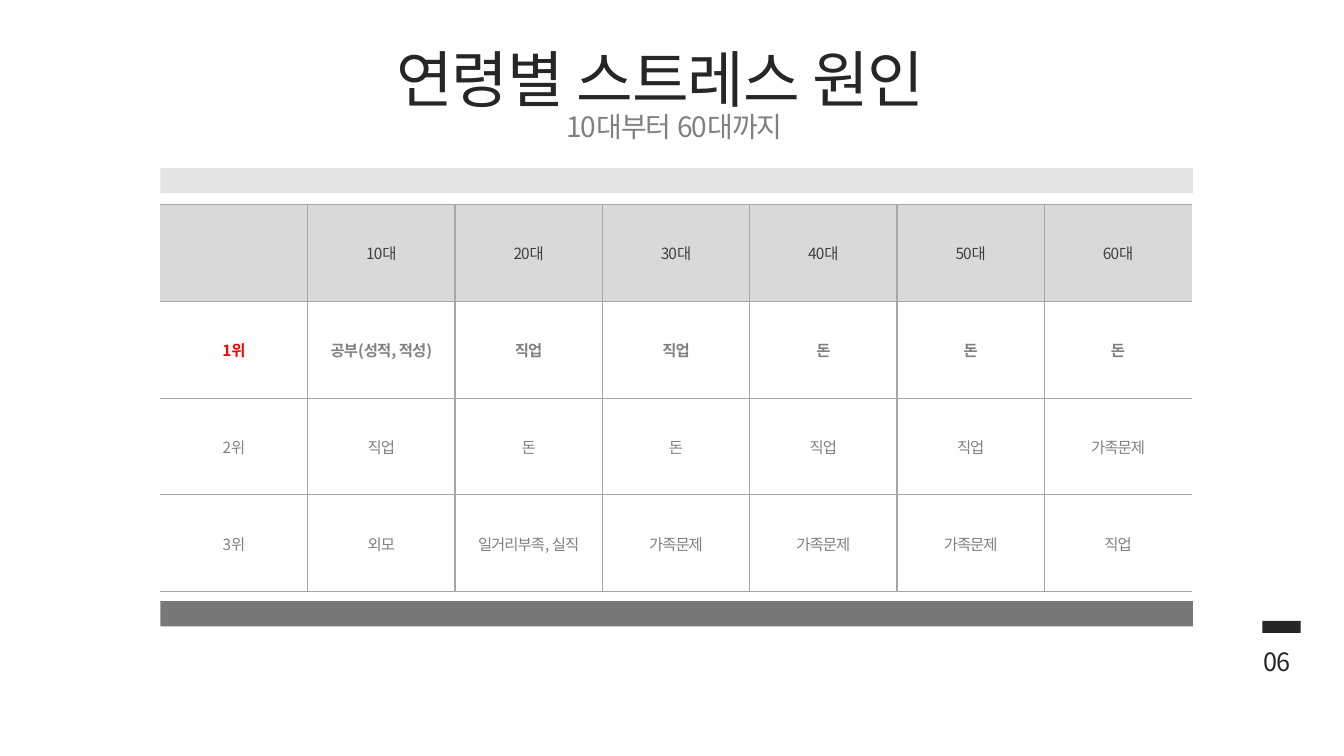
from lxml import etree
from pptx import Presentation
from pptx.dml.color import RGBColor
from pptx.enum import shapes, text
from pptx.oxml.ns import qn
from pptx.util import Inches, Pt

FONT = "Noto Sans CJK KR"
INK = {"dark": "262626", "head": "404040", "body": "808080", "top": "FF0000",
       "fill": "D9D9D9", "edge": "A6A6A6"}
TITLE = "연령별 스트레스 원인"
NOTE = "10대부터 60대까지 "
PAGE = "06"
ROWS = [
    ["", "10대", "20대", "30대", "40대", "50대", "60대"],
    ["1위", "공부(성적, 적성)", "직업", "직업", "돈", "돈", "돈"],
    ["2위", "직업", "돈", "돈", "직업", "직업", "가족문제"],
    ["3위", "외모", "일거리부족, 실직", "가족문제", "가족문제", "가족문제", "직업"],
]
BARS = [(1.79, "fill"), (6.09, "head")]
LEFT, TOP, WIDE, HIGH = 1.59, 2.03, 10.23, 3.84


def tint(name):
    return RGBColor.from_string(INK[name])


def write(frame, words, size, ink, align=text.PP_ALIGN.CENTER, bold=False):
    para = frame.paragraphs[0]
    para.alignment = align
    run = para.add_run()
    run.text = words
    font = run.font
    font.size, font.name, font.bold = Pt(size), FONT, bold
    font.color.rgb = tint(ink)
    props = run._r.get_or_add_rPr()
    props.set("spc", "-70")
    etree.SubElement(props, qn("a:ea"), typeface=FONT)


def label(slide, box, words, size, ink, align=text.PP_ALIGN.CENTER):
    frame = slide.shapes.add_textbox(*map(Inches, box)).text_frame
    frame.word_wrap = True
    write(frame, words, size, ink, align)


def block(slide, kind, box):
    shape = slide.shapes.add_shape(kind, *map(Inches, box))
    shape.shadow.inherit = False
    shape.line.fill.background()
    return shape


def bar(slide, y, ink):
    line = slide.shapes.add_connector(
        shapes.MSO_CONNECTOR.STRAIGHT, Inches(LEFT), Inches(y), Inches(11.83), Inches(y))
    line.line.width = Pt(18)
    line.line.color.rgb = tint(ink)
    props = line._element.spPr
    color = next(props.iter(qn("a:srgbClr")))
    etree.SubElement(color, qn("a:alpha"), val="70000")
    etree.SubElement(props, qn("a:effectLst"))


def edge(cell, side, shown):
    props = cell._tc.get_or_add_tcPr()
    line = etree.SubElement(props, qn("a:ln" + side), w=str(Pt(1)))
    if shown:
        fill = etree.SubElement(line, qn("a:solidFill"))
        etree.SubElement(fill, qn("a:srgbClr"), val=INK["edge"])
    else:
        etree.SubElement(line, qn("a:noFill"))


def grid(slide):
    count = len(ROWS[0])
    table = slide.shapes.add_table(
        len(ROWS), count, *map(Inches, (LEFT, TOP, WIDE, HIGH))).table
    table.first_row = table.horz_banding = False
    for col in table.columns:
        col.width = Inches(WIDE / count)
    for r, row in enumerate(ROWS):
        table.rows[r].height = Inches(HIGH / len(ROWS))
        for c, words in enumerate(row):
            cell = table.cell(r, c)
            cell.vertical_anchor = text.MSO_ANCHOR.MIDDLE
            for side, shown in (("L", c > 0), ("R", c < count - 1), ("T", True), ("B", True)):
                edge(cell, side, shown)
            if r == 0:
                cell.fill.solid()
                cell.fill.fore_color.rgb = tint("fill")
            else:
                cell.fill.background()
            if words:
                ink = "head" if r == 0 else "top" if (r, c) == (1, 0) else "body"
                write(cell.text_frame, words, 11, ink, bold=r == 1)


def main():
    deck = Presentation()
    deck.slide_width, deck.slide_height = Inches(13.33), Inches(7.5)
    slide = deck.slides.add_slide(deck.slide_layouts[6])

    title = block(slide, shapes.MSO_SHAPE.ROUNDED_RECTANGLE, (1.83, 0.39, 9.44, 0.76))
    title.adjustments[0] = 0.5
    title.fill.background()
    title.text_frame.vertical_anchor = text.MSO_ANCHOR.MIDDLE
    write(title.text_frame, TITLE, 44, "dark")

    label(slide, (12.43, 6.36, 0.47, 0.71), PAGE, 18, "dark", text.PP_ALIGN.RIGHT)
    mark = block(slide, shapes.MSO_SHAPE.RECTANGLE, (12.52, 6.16, 0.38, 0.12))
    mark.fill.solid()
    mark.fill.fore_color.rgb = tint("dark")

    label(slide, (3.21, 1.04, 7.01, 0.44), NOTE, 20, "body")
    for y, ink in BARS:
        bar(slide, y, ink)
    grid(slide)
    deck.save("out.pptx")


if __name__ == "__main__":
    main()
